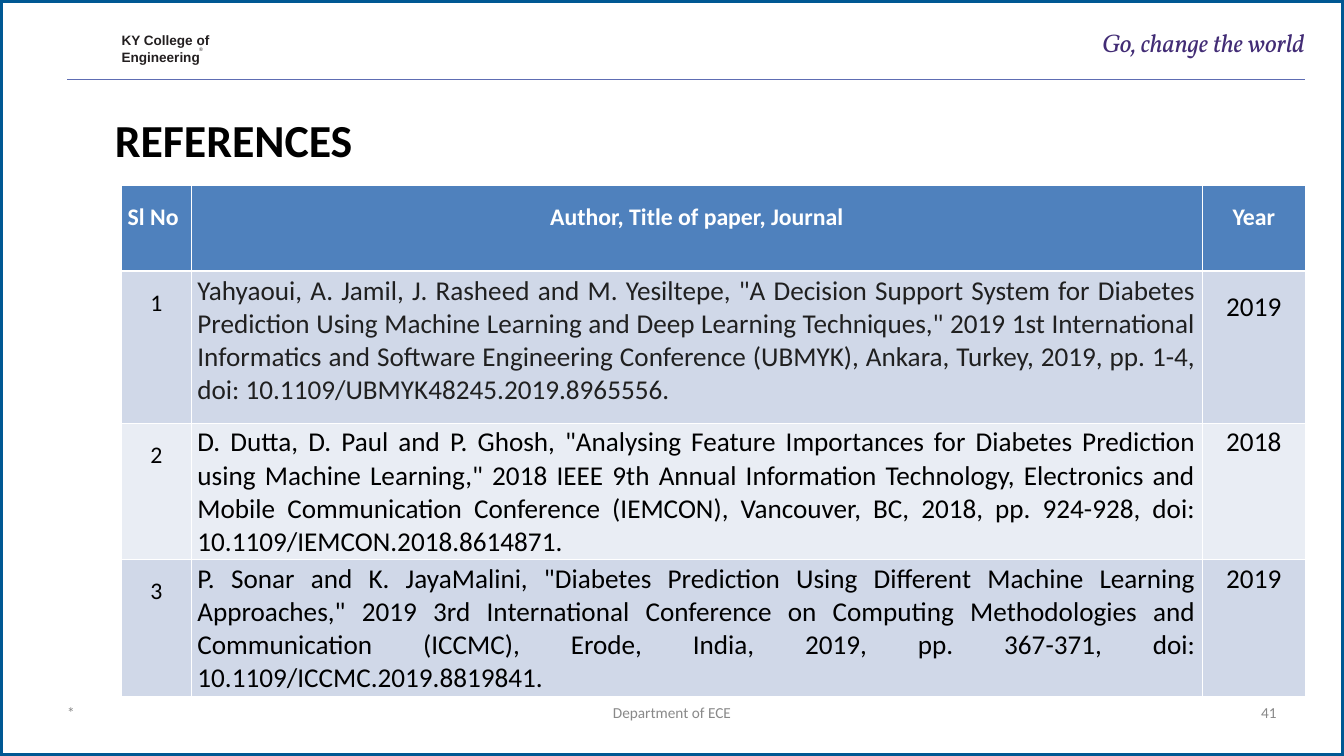
from lxml import etree
from pptx import Presentation
from pptx import util as u
from pptx.dml.color import RGBColor
from pptx.enum import shapes, text
from pptx.oxml.ns import qn

COLORS = {
    "white": "FFFFFF", "frame": "005893", "rule": "5E6DB3", "ink": "231F20",
    "motto": "422C75", "black": "000000", "footer": "898989",
    "header": "4F81BD", "odd": "D0D8E8", "even": "E9EDF4", "body": "202020",
}
SLIDE_W, SLIDE_H = 21.99, 12.37
LEFT, CENTER, RIGHT, JUSTIFY = (
    text.PP_ALIGN.LEFT, text.PP_ALIGN.CENTER, text.PP_ALIGN.RIGHT, text.PP_ALIGN.JUSTIFY)

# lines, (left, top, width, height), font, size, colour, style, alignment, line spacing
TEXTS = [
    (["KY College of", "Engineering"], (1.99, 0.5, 1.5, 0.52), "Arial", 16, "ink", "b", LEFT, 1.06),
    (["®"], (3.19, 0.76, 0.2, 0.1), "Arial", 6, "ink", "", CENTER, 1),
    (["REFERENCES"], (1.88, 1.83, 11.2, 0.91), "Calibri", 54, "black", "b", LEFT, 1),
    (["Go, change the world"], (17.33, 0.45, 4.02, 0.51), "Vollkorn", 30, "motto", "i", RIGHT, 1),
    (["*"], (1.1, 11.5, 5.06, 0.62), "Calibri", 18, "footer", "", LEFT, 1),
    (["Department of ECE"], (7.48, 11.5, 7.03, 0.62), "Calibri", 18, "footer", "", CENTER, 1),
    (["41"], (15.83, 11.5, 5.06, 0.62), "Calibri", 18, "footer", "", RIGHT, 1),
]

HEADINGS = ["Sl No", "Author, Title of paper, Journal", "Year"]
# reference, its colour, year, line spacing of the year
REFERENCES = [
    ('Yahyaoui, A. Jamil, J. Rasheed and M. Yesiltepe, "A Decision Support System for '
     'Diabetes Prediction Using Machine Learning and Deep Learning Techniques," 2019 1st '
     'International Informatics and Software Engineering Conference (UBMYK), Ankara, Turkey, '
     '2019, pp. 1-4, doi: 10.1109/UBMYK48245.2019.8965556.', "body", "2019", 1.5),
    ('D. Dutta, D. Paul and P. Ghosh, "Analysing Feature Importances for Diabetes Prediction '
     'using Machine Learning," 2018 IEEE 9th Annual Information Technology, Electronics and '
     'Mobile Communication Conference (IEMCON), Vancouver, BC, 2018, pp. 924-928, doi: '
     '10.1109/IEMCON.2018.8614871.', "black", "2018", 1),
    ('P. Sonar and K. JayaMalini, "Diabetes Prediction Using Different Machine Learning '
     'Approaches," 2019 3rd International Conference on Computing Methodologies and '
     'Communication (ICCMC), Erode, India, 2019, pp. 367-371, doi: '
     '10.1109/ICCMC.2019.8819841.', "black", "2019", 1),
]
TABLE_AT = (1.99, 3.03)
COL_WIDTHS = [1.14, 16.54, 1.69]
ROW_HEIGHTS = [1.41, 2.48, 2.23, 2.23]


def rgb(name):
    return RGBColor.from_string(COLORS[name])


def inches(values):
    return [u.Inches(v) for v in values]


def write(p, line, font, size, color, style, align, spacing):
    p.alignment, p.line_spacing = align, spacing
    r = p.add_run()
    r.text = line
    f = r.font
    f.name, f.size, f.color.rgb = font, u.Pt(size), rgb(color)
    f.bold, f.italic = "b" in style, "i" in style


def add_text(s, lines, box, *look):
    tf = s.shapes.add_textbox(*inches(box)).text_frame
    tf.word_wrap = True
    tf.margin_left = tf.margin_right = tf.margin_top = tf.margin_bottom = 0
    for i, line in enumerate(lines):
        write(tf.paragraphs[0] if i == 0 else tf.add_paragraph(), line, *look)


def set_borders(cell, top, bottom):
    """Draw white cell borders; widths in points, with 1 pt at the sides."""
    tcPr = cell._tc.get_or_add_tcPr()
    sides = [("a:lnL", 1), ("a:lnR", 1), ("a:lnT", top), ("a:lnB", bottom)]
    for i, (tag, width) in enumerate(sides):
        ln = etree.Element(qn(tag), w=str(u.Pt(width)))
        fill = etree.SubElement(ln, qn("a:solidFill"))
        etree.SubElement(fill, qn("a:srgbClr"), val=COLORS["white"])
        tcPr.insert(i, ln)


def add_references(s):
    rows = [[(h, 28, "white", "b", CENTER if i else LEFT, 1.5) for i, h in enumerate(HEADINGS)]]
    for n, (ref, color, year, spacing) in enumerate(REFERENCES, 1):
        rows.append([(str(n), 28, "black", "", CENTER, 1.5),
                     (ref, 32, color, "", JUSTIFY, 1),
                     (year, 32, "black", "", CENTER, spacing)])
    size = (sum(COL_WIDTHS), sum(ROW_HEIGHTS))
    table = s.shapes.add_table(len(rows), len(HEADINGS), *inches(TABLE_AT + size)).table
    for col, width in zip(table.columns, COL_WIDTHS):
        col.width = u.Inches(width)
    for i, row in enumerate(rows):
        table.rows[i].height = u.Inches(ROW_HEIGHTS[i])
        fill = "header" if i == 0 else "odd" if i % 2 else "even"
        for j, (line, *look) in enumerate(row):
            cell = table.cell(i, j)
            cell.fill.solid()
            cell.fill.fore_color.rgb = rgb(fill)
            set_borders(cell, 3 if i == 1 else 1, 3 if i == 0 else 1)
            write(cell.text_frame.paragraphs[0], line, "Calibri", *look)


def main():
    prs = Presentation()
    prs.slide_width, prs.slide_height = inches((SLIDE_W, SLIDE_H))
    s = prs.slides.add_slide(prs.slide_layouts[6])

    frame = s.shapes.add_shape(shapes.MSO_SHAPE.RECTANGLE, *inches((0, 0, SLIDE_W, SLIDE_H)))
    frame.shadow.inherit = False
    frame.fill.solid()
    frame.fill.fore_color.rgb = rgb("white")
    frame.line.color.rgb, frame.line.width = rgb("frame"), u.Pt(6)

    rule = s.shapes.add_connector(shapes.MSO_CONNECTOR.STRAIGHT, *inches((1.1, 1.3, 21.36, 1.3)))
    rule.line.color.rgb, rule.line.width = rgb("rule"), u.Pt(1.25)
    etree.SubElement(rule._element.spPr, qn("a:effectLst"))

    for item in TEXTS:
        add_text(s, *item)
    add_references(s)
    prs.save("out.pptx")


if __name__ == "__main__":
    main()
